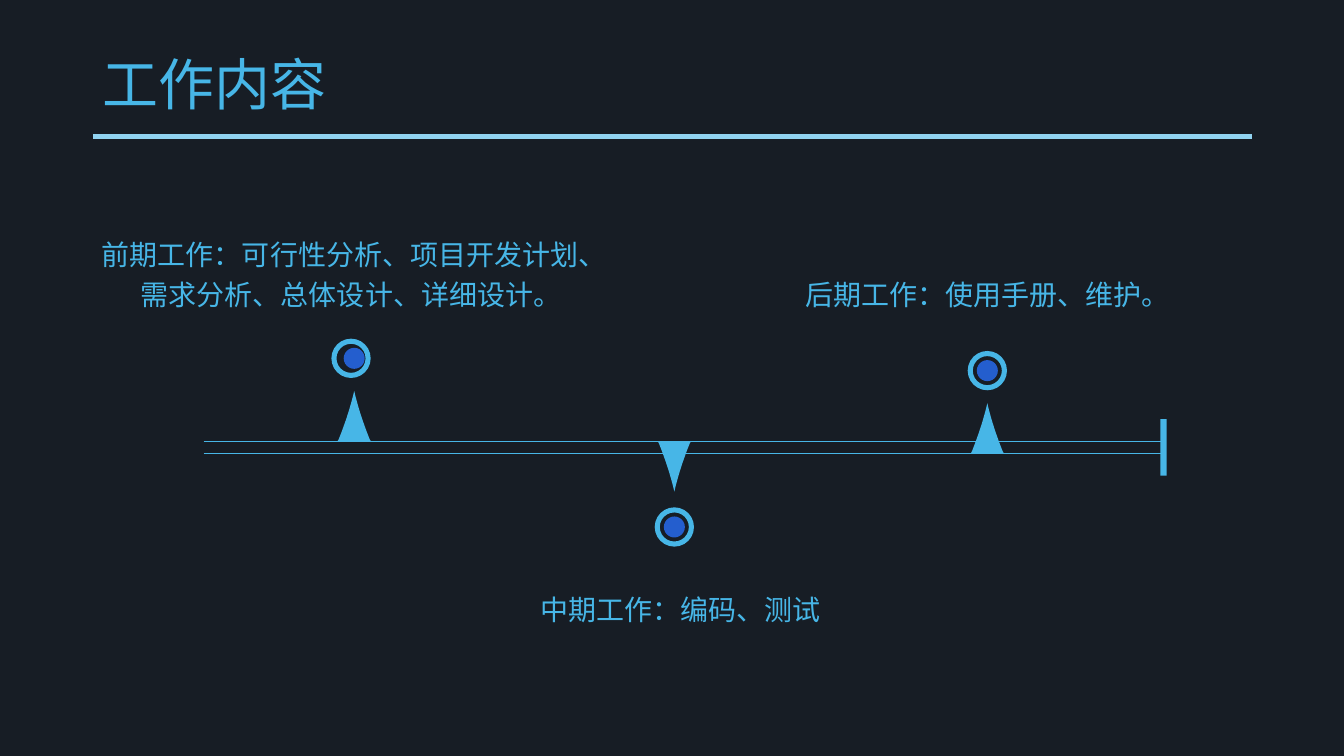
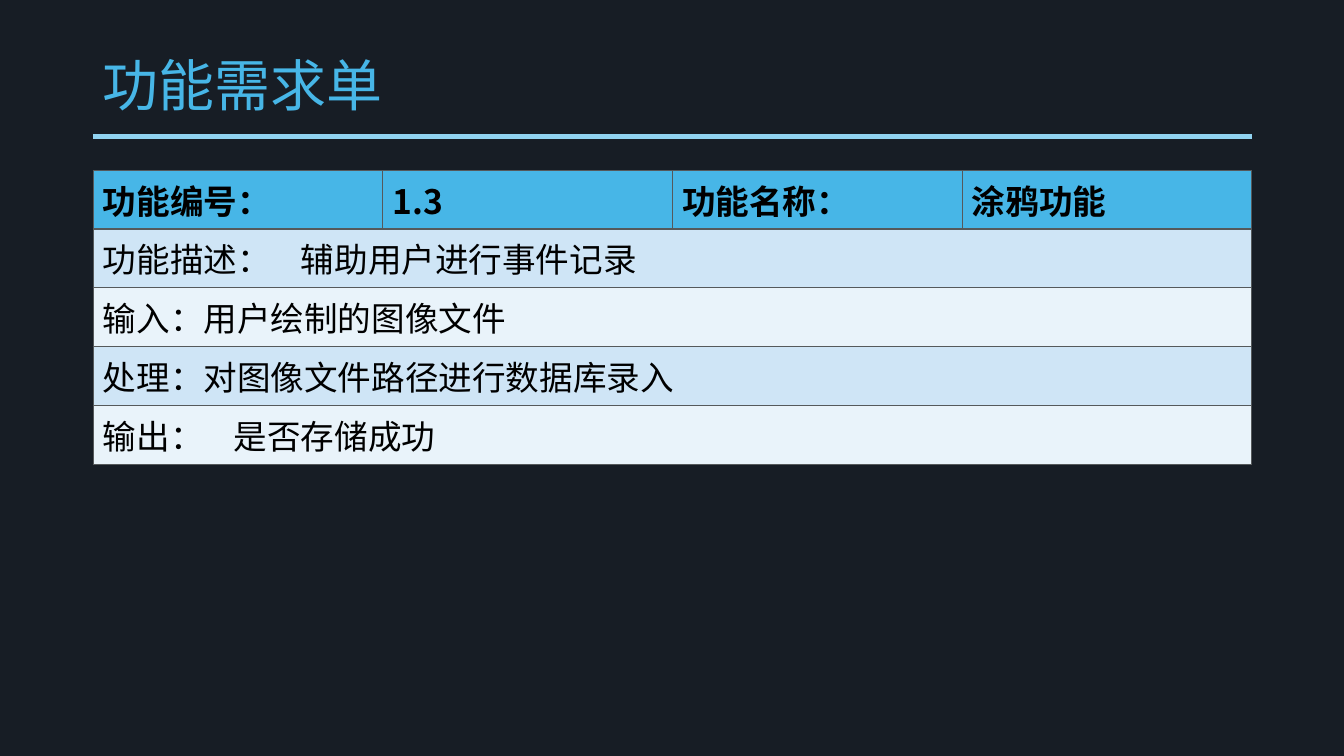
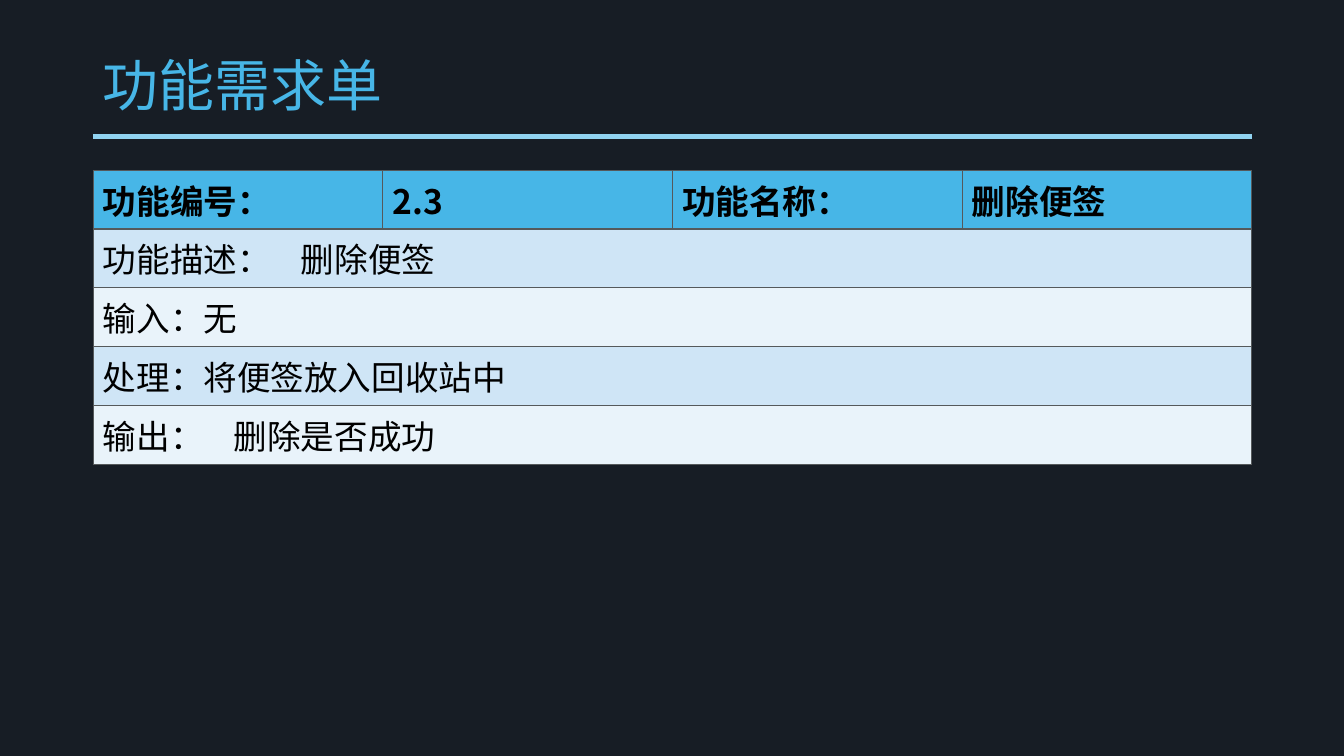
from dataclasses import dataclass

from lxml.etree import SubElement
from pptx import Presentation
from pptx.dml.color import RGBColor
from pptx.enum.shapes import MSO_CONNECTOR, MSO_SHAPE
from pptx.enum.text import MSO_ANCHOR, PP_ALIGN
from pptx.oxml import parse_xml
from pptx.oxml.ns import nsdecls, qn
from pptx.util import Cm, Pt


@dataclass(frozen=True)
class Theme:
    back: str = "171D25"
    main: str = "47B6E7"
    rule: str = "91D3F1"
    dot: str = "245ECE"
    ink: str = "000000"
    edge: str = "55595B"
    bands: tuple = ("CFE5F6", "E9F3FA")
    face: str = "Arial"
    asian: str = "Noto Sans CJK SC"
    title: int = 40
    label: int = 20
    cell: int = 24
    thin: float = 0.45
    thick: float = 1.47


T = Theme()
BODY = (2.34, 4.29, 29.21, 7.4)


def paint(fill, color):
    fill.solid()
    fill.fore_color.rgb = RGBColor.from_string(color)


def style(para, size, color, face=T.face, bold=False):
    font = para.font
    font.size = Pt(size)
    font.bold = bold
    font.color.rgb = RGBColor.from_string(color)
    font.name = face
    SubElement(font._element, qn("a:ea"), typeface=T.asian)


def write(slide, box, lines, size, space, anchor, align):
    frame = slide.shapes.add_textbox(*map(Cm, box)).text_frame
    frame.word_wrap = True
    frame.vertical_anchor = anchor
    frame.text = "\n".join(lines)
    for para in frame.paragraphs:
        para.alignment = align
        para.line_spacing = space
        style(para, size, T.main)


def rule(slide, left, top, width, color, weight):
    line = slide.shapes.add_connector(
        MSO_CONNECTOR.STRAIGHT, Cm(left), Cm(top), Cm(left + width), Cm(top))
    line.line.color.rgb = RGBColor.from_string(color)
    line.line.width = Pt(weight)
    SubElement(line._element.spPr, qn("a:effectLst"))


def finish(shape, color):
    shape.shadow.inherit = False
    paint(shape.fill, color)
    shape.line.fill.background()
    return shape


def block(slide, kind, box, color):
    return finish(slide.shapes.add_shape(kind, *map(Cm, box)), color)


def disc(slide, kind, x, y, size, color):
    return block(slide, kind, (x - size / 2, y - size / 2, size, size), color)


def start(deck, title, height=2.41):
    slide = deck.slides.add_slide(deck.slide_layouts[6])
    rule(slide, 2.34, 3.45, 29.21, T.rule, 3.5)
    write(slide, (2.34, 1.02, 29.21, height), [title], T.title, 0.9,
          MSO_ANCHOR.MIDDLE, PP_ALIGN.LEFT)
    return slide


def cone(slide, x, base, way):
    half, high, steps = 0.42, 1.27, 12
    side = []
    for n in range(steps + 1):
        t = n / steps
        u = 1 - t
        wide = 0.39 * u**3 + 0.72 * u * u * t + 0.3 * u * t * t
        tall = 0.05 * u**3 + 1.29 * u * u * t + 2.49 * u * t * t + high * t**3
        side.append((wide, tall))
    points = [(x - w, base + way * h) for w, h in side]
    points += [(x + w, base + way * h) for w, h in reversed(side)]
    points.append((x + half, base))
    path = slide.shapes.build_freeform(Cm(x - half), Cm(base))
    path.add_line_segments([(Cm(a), Cm(b)) for a, b in points])
    finish(path.convert_to_shape(), T.main)


def mark(slide, x, base, way, reach, shift, label, lines):
    cone(slide, x, base, way)
    y = base + way * reach
    ring = disc(slide, MSO_SHAPE.DONUT, x + shift, y, 0.99, T.main)
    ring.adjustments[0] = 0.13
    disc(slide, MSO_SHAPE.OVAL, x, y, 0.53, T.dot)
    anchor = MSO_ANCHOR.BOTTOM if way < 0 else MSO_ANCHOR.TOP
    mid, top, width = label
    write(slide, (x + mid - width / 2, top, width, 3.3), lines,
          T.label, 1.2, anchor, PP_ALIGN.CENTER)


def axis(slide, left, top, width, gap):
    for y in (top, top + gap):
        rule(slide, left, y, width, T.main, 0.5)
    high = 1.42
    block(slide, MSO_SHAPE.RECTANGLE,
          (left + width - 0.08, top + gap / 2 - high / 2, 0.16, high), T.main)


def plan(deck):
    slide = start(deck, "工作内容", 2.34)
    left, top, gap = 5.13, 11.12, 0.31
    axis(slide, left, top, 24.2, gap)
    mark(slide, left + 3.8, top, -1, 2.09, -0.08, (0, 4.67, 14.4),
         ["前期工作：可行性分析、项目开发计划、", "需求分析、总体设计、详细设计。 "])
    mark(slide, left + 11.87, top, 1, 2.16, 0, (0.23, 14.63, 10.9),
         ["中期工作：编码、测试 "])
    mark(slide, left + 19.76, top + gap, -1, 2.09, 0, (0, 4.67, 9.78),
         ["后期工作：使用手册、维护。"])


def border(cell, top, bottom):
    props = cell._tc.get_or_add_tcPr()
    sides = (("L", T.thin), ("R", T.thin), ("T", top), ("B", bottom))
    for n, (side, weight) in enumerate(sides):
        props.insert(n, parse_xml(
            f'<a:ln{side} {nsdecls("a")} w="{Pt(weight)}"><a:solidFill>'
            f'<a:srgbClr val="{T.edge}"/></a:solidFill></a:ln{side}>'))


def put(cell, text, bold, stop=None):
    cell.text = text
    para = cell.text_frame.paragraphs[0]
    if stop:
        tabs = SubElement(para._p.get_or_add_pPr(), qn("a:tabLst"))
        SubElement(tabs, qn("a:tab"), pos=str(Cm(stop)), algn="l")
    style(para, T.cell, T.ink, T.asian, bold)


def form(deck, code, name, about, source, action, result):
    slide = start(deck, "功能需求单")
    grid = slide.shapes.add_table(5, 4, *map(Cm, BODY)).table
    grid.first_row = grid.horz_banding = False
    for r, row in enumerate(grid.rows):
        color = T.bands[(r - 1) % 2] if r else T.main
        for cell in row.cells:
            paint(cell.fill, color)
            border(cell, T.thick if r == 1 else T.thin,
                   T.thin if r else T.thick)
    for c, text in enumerate(("功能编号：", code, "功能名称：", name)):
        put(grid.cell(0, c), text, True)
    facts = ((f"功能描述：\t{about}", 4.99), (f"输入：{source}", None),
             (f"处理：{action}", None), (f"输出：\t{result}", 3.3))
    for r, (text, stop) in enumerate(facts, 1):
        grid.cell(r, 0).merge(grid.cell(r, 3))
        put(grid.cell(r, 0), text, False, stop)


def main():
    deck = Presentation()
    deck.slide_width, deck.slide_height = Cm(33.88), Cm(19.05)
    paint(deck.slide_master.background.fill, T.back)
    plan(deck)
    form(deck, "1.3", "涂鸦功能", "辅助用户进行事件记录", "用户绘制的图像文件",
         "对图像文件路径进行数据库录入", "是否存储成功")
    form(deck, "2.3", "删除便签", "删除便签", "无",
         "将便签放入回收站中", "删除是否成功")
    deck.save("out.pptx")


if __name__ == "__main__":
    main()
